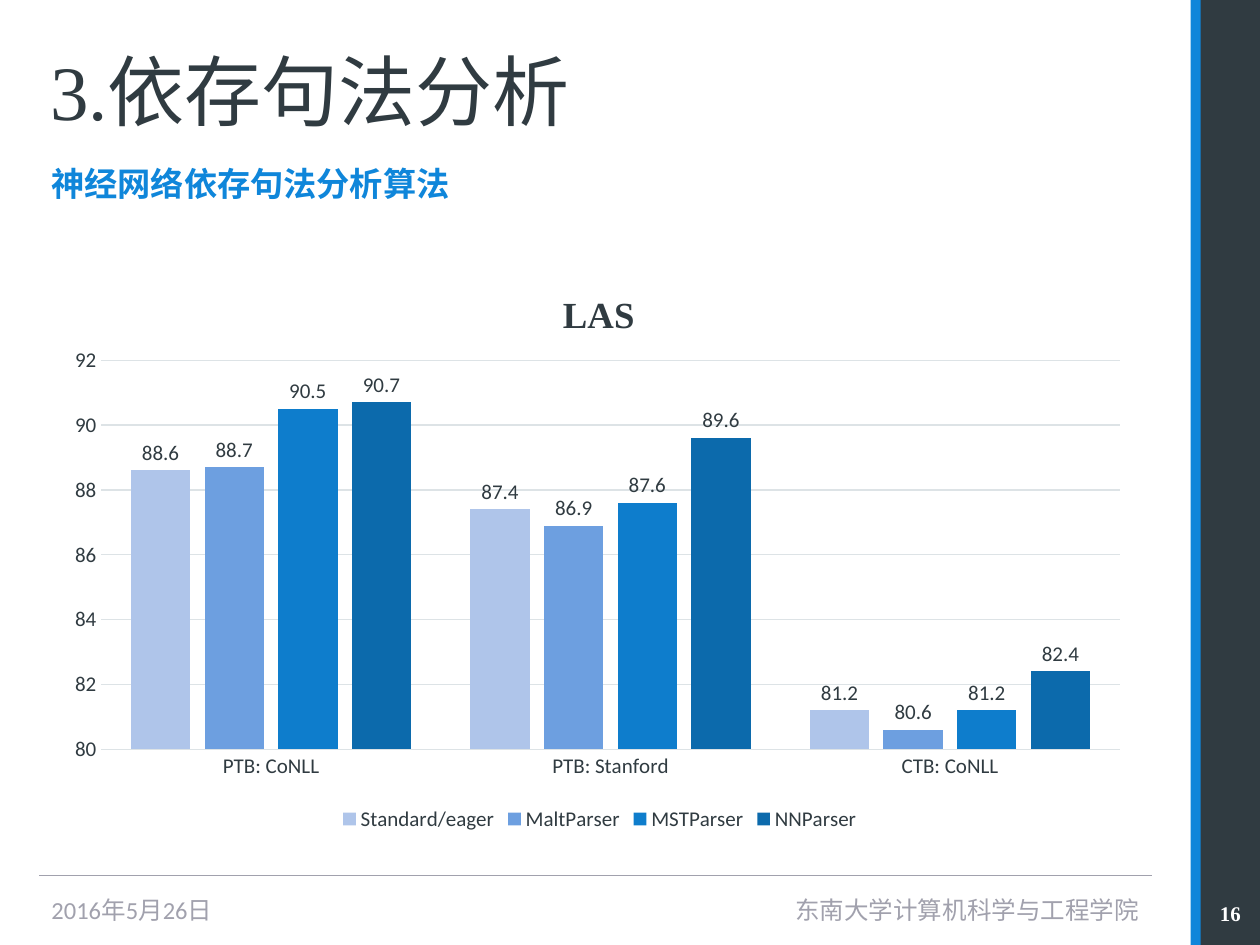
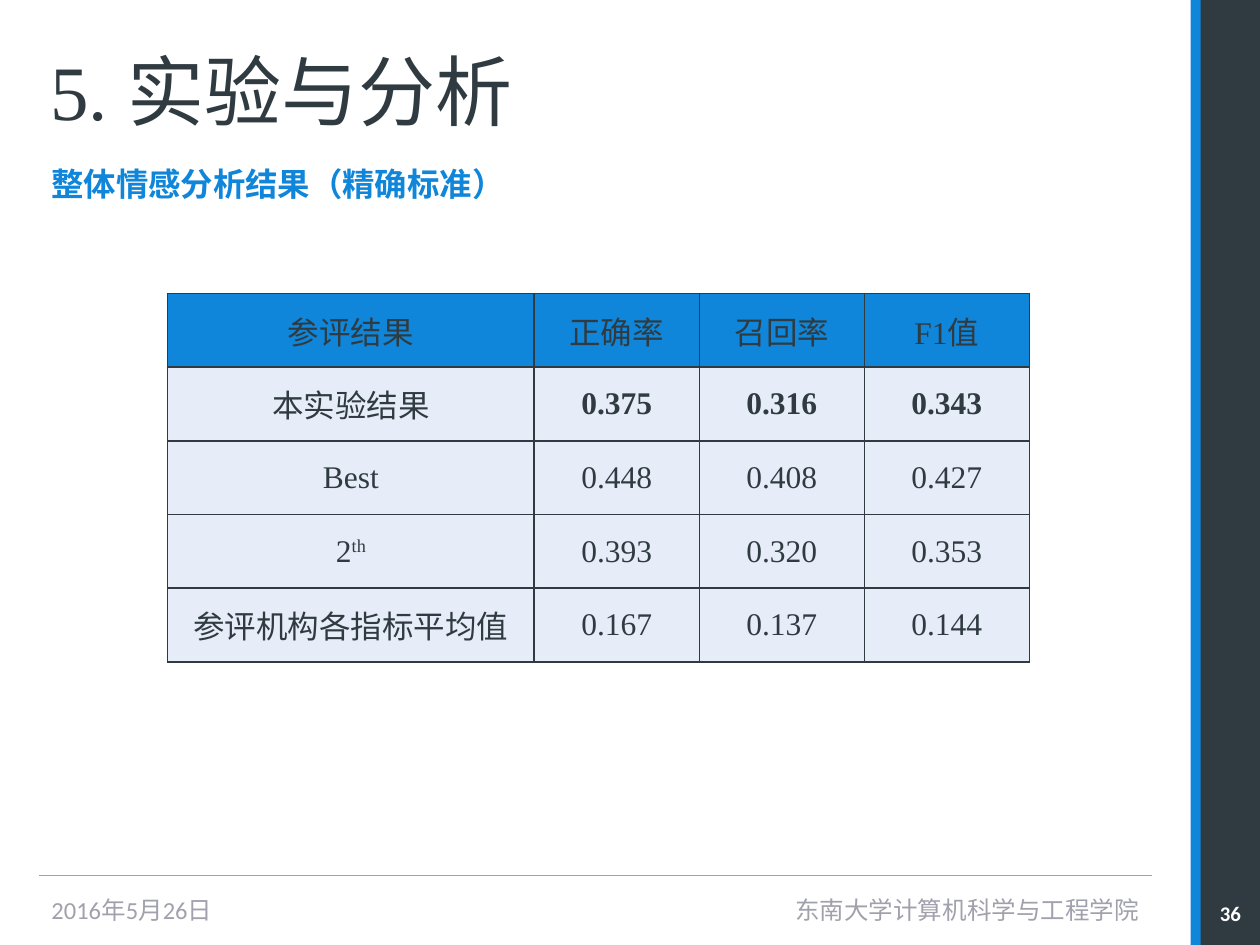
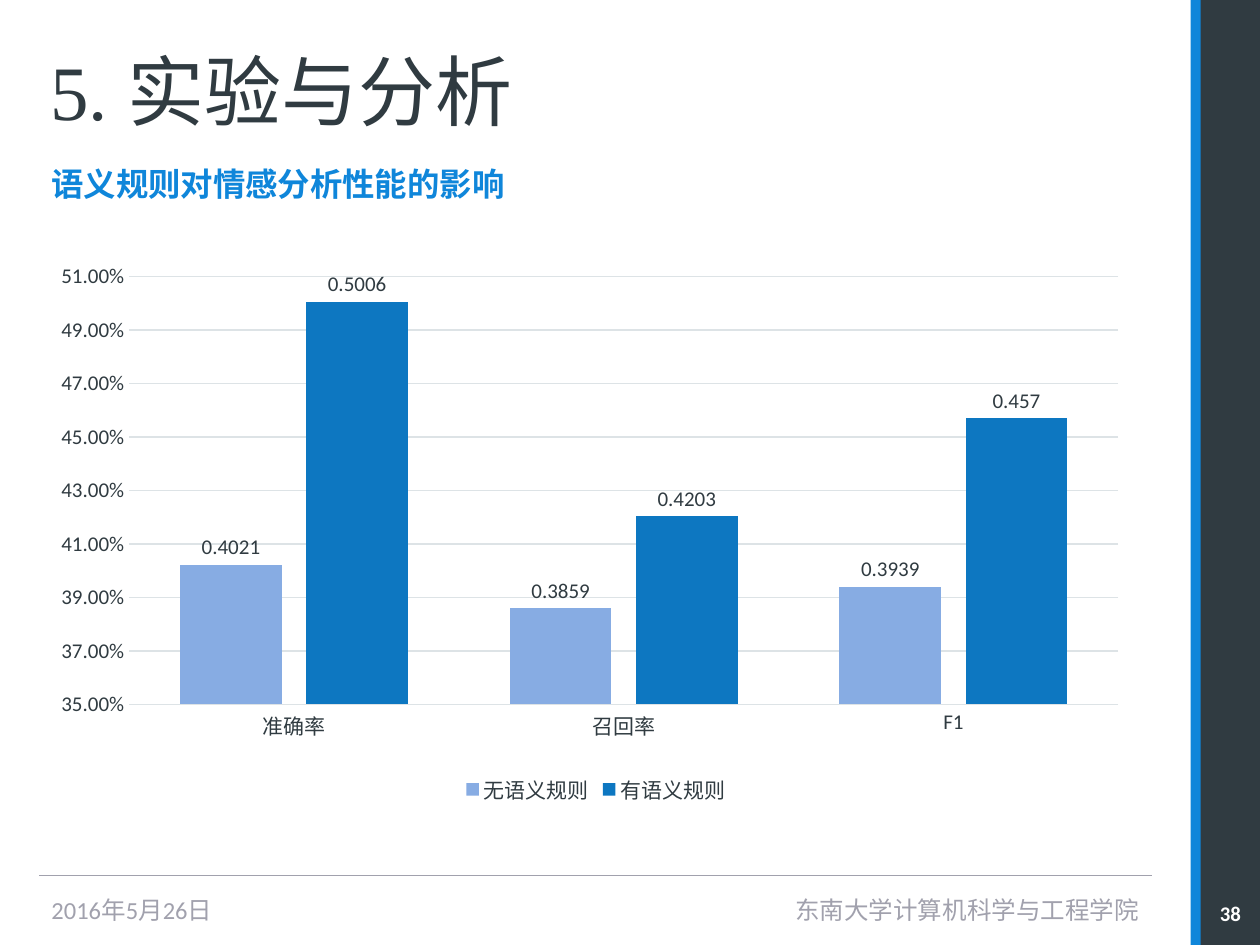
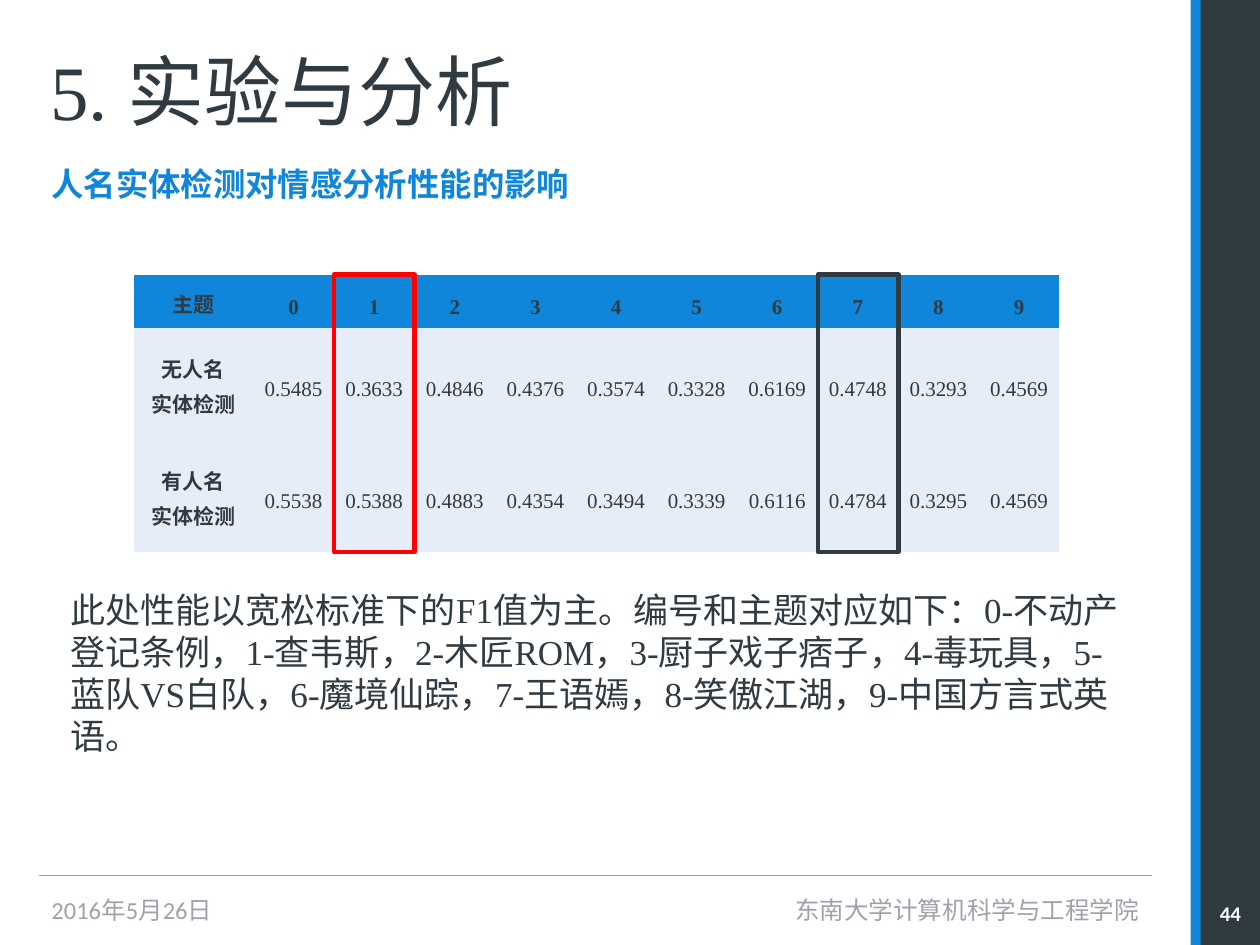
from dataclasses import dataclass

from pptx import Presentation
from pptx.chart.data import CategoryChartData
from pptx.dml.color import RGBColor
from pptx.enum.chart import XL_CHART_TYPE as ChartType
from pptx.enum.chart import XL_LABEL_POSITION as LabelPosition
from pptx.enum.chart import XL_LEGEND_POSITION as LegendPosition
from pptx.enum.chart import XL_TICK_MARK as TickMark
from pptx.enum.shapes import MSO_CONNECTOR as Connector
from pptx.enum.shapes import MSO_SHAPE as Shape
from pptx.enum.text import MSO_ANCHOR as Anchor
from pptx.enum.text import PP_ALIGN as Align
from pptx.oxml import parse_xml
from pptx.oxml.ns import nsdecls, qn
from pptx.oxml.xmlchemy import OxmlElement
from pptx.util import Inches, Pt


@dataclass(frozen=True)
class Theme:
    accent: str = "0F86DA"
    dark: str = "303B41"
    muted: str = "A1A1AD"
    white: str = "FFFFFF"
    pale: str = "E7EDF8"
    grid: str = "DDE3E6"
    alert: str = "FF0000"
    serif: str = "Times New Roman"
    sans: str = "Calibri"
    title: float = 44
    subtitle: float = 18.5
    chart_title: float = 21
    body: float = 20
    table: float = 18
    footer: float = 14
    small: float = 12
    number: float = 11.9


THEME = Theme()
PLAIN_TABLE_STYLE = "{2D5ABB26-0587-4C30-8999-92F81FD0307C}"


def rgb(color):
    return RGBColor.from_string(color)


def set_font(font, size, color=THEME.dark, name=THEME.sans, bold=False):
    font.size = Pt(size)
    font.name = name
    font.bold = bold
    font.color.rgb = rgb(color)


def write_text(frame, text, size, color=THEME.dark, font=THEME.serif, bold=False,
               align=Align.LEFT, before=None, line_spacing=None):
    for index, line in enumerate(text.split("\n")):
        paragraph = frame.add_paragraph() if index else frame.paragraphs[0]
        paragraph.alignment = align
        if before:
            paragraph.space_before = Pt(before)
        if line_spacing:
            paragraph.line_spacing = Pt(line_spacing)
        normal, _, raised = line.partition("^")
        for part, baseline in ((normal, None), (raised, "30000")):
            if part:
                run = paragraph.add_run()
                run.text = part
                set_font(run.font, size, color, font, bold)
                if baseline:
                    run.font._element.set("baseline", baseline)


def set_layout(parent, position, x, y, width=None, height=None, inner=False):
    old_layout = parent.find(qn("c:layout"))
    if old_layout is not None:
        parent.remove(old_layout)
    target = '<c:layoutTarget val="inner"/>' if inner else ""
    values = {"x": x, "y": y, "w": width, "h": height}
    places = "".join(f'<c:{key} val="{value}"/>' for key, value in values.items() if value)
    parent.insert(position, parse_xml(
        f'<c:layout {nsdecls("c")}><c:manualLayout>{target}'
        f'<c:xMode val="edge"/><c:yMode val="edge"/>{places}</c:manualLayout></c:layout>'))


def set_borders(cell, color, width):
    properties = cell._tc.get_or_add_tcPr()
    for index, side in enumerate(("lnL", "lnR", "lnT", "lnB")):
        properties.insert(index, parse_xml(
            f'<a:{side} {nsdecls("a")} w="{Pt(width)}"><a:solidFill>'
            f'<a:srgbClr val="{color}"/></a:solidFill></a:{side}>'))


class Deck:
    def __init__(self, theme):
        self.theme = theme
        self.presentation = Presentation()
        self.presentation.slide_width = Inches(10)
        self.presentation.slide_height = Inches(7.5)
        self.slide = None

    def start_slide(self, title, subtitle, number, footer_font=THEME.sans,
                    subtitle_font=THEME.sans, subtitle_size=THEME.subtitle):
        theme = self.theme
        self.slide = self.presentation.slides.add_slide(self.presentation.slide_layouts[6])
        self.rectangle(9.45, 0, 0.55, 7.5, fill=theme.accent)
        self.rectangle(9.53, 0, 0.47, 7.5, fill=theme.dark)
        self.line(0.31, 6.95, 9.14, 6.95, theme.muted, 0.79)
        self.text("2016年5月26日", 0.31, 7.02, 1.95, 0.4, anchor=Anchor.MIDDLE,
                  size=theme.footer, color=theme.muted, font=theme.sans)
        self.text(title, 0.3, 0.17, 8.92, 1.08, anchor=Anchor.MIDDLE, size=theme.title)
        self.text("东南大学计算机科学与工程学院", 3.21, 7.02, 5.93, 0.4, anchor=Anchor.MIDDLE,
                  size=theme.footer, color=theme.muted, font=footer_font, align=Align.RIGHT)
        self.text(str(number), 9.53, 7.11, 0.47, 0.27, anchor=Anchor.MIDDLE, size=theme.number,
                  color=theme.white, font=footer_font, bold=True, align=Align.CENTER)
        self.text(subtitle, 0.31, 1.25, 8.91, 0.39, size=subtitle_size, color=theme.accent,
                  font=subtitle_font, bold=True, before=7)

    def text(self, text, left, top, width, height, anchor=Anchor.TOP, **style):
        box = self.slide.shapes.add_textbox(
            Inches(left), Inches(top), Inches(width), Inches(height))
        box.text_frame.word_wrap = True
        box.text_frame.vertical_anchor = anchor
        write_text(box.text_frame, text, **style)

    def rectangle(self, left, top, width, height, fill=None, line=None, line_width=2.5):
        shape = self.slide.shapes.add_shape(
            Shape.RECTANGLE, Inches(left), Inches(top), Inches(width), Inches(height))
        shape.shadow.inherit = False
        if fill:
            shape.fill.solid()
            shape.fill.fore_color.rgb = rgb(fill)
        else:
            shape.fill.background()
        if line:
            shape.line.color.rgb = rgb(line)
            shape.line.width = Pt(line_width)
        else:
            shape.line.fill.background()

    def line(self, x1, y1, x2, y2, color, width):
        connector = self.slide.shapes.add_connector(
            Connector.STRAIGHT, Inches(x1), Inches(y1), Inches(x2), Inches(y2))
        connector.line.color.rgb = rgb(color)
        connector.line.width = Pt(width)
        connector._element.spPr.append(OxmlElement("a:effectLst"))

    def table(self, rows, left, top, widths, heights, is_bold, size, border=None,
              line_spacing=None):
        table = self.slide.shapes.add_table(
            len(rows), len(widths), Inches(left), Inches(top),
            Inches(sum(widths)), Inches(sum(heights))).table
        table.first_row = table.horz_banding = False
        table._tbl.tblPr.find(qn("a:tableStyleId")).text = PLAIN_TABLE_STYLE
        for column, width in zip(table.columns, widths):
            column.width = Inches(width)
        for row, height in zip(table.rows, heights):
            row.height = Inches(height)
        for row_index, values in enumerate(rows):
            for column_index, value in enumerate(values):
                cell = table.cell(row_index, column_index)
                cell.margin_left = cell.margin_right = Inches(0.07)
                cell.margin_top = cell.margin_bottom = 0
                cell.vertical_anchor = Anchor.MIDDLE
                cell.fill.solid()
                cell.fill.fore_color.rgb = rgb(self.theme.pale if row_index else self.theme.accent)
                write_text(cell.text_frame, value, size=size, align=Align.CENTER,
                           bold=is_bold(row_index, column_index), line_spacing=line_spacing)
                if border:
                    set_borders(cell, border, 1)

    def column_chart(self, categories, series, left, top, width, height, scale, plot_area,
                     axis_format="General", title=None):
        theme = self.theme
        data = CategoryChartData()
        data.categories = categories
        for name, _, values in series:
            data.add_series(name, values)
        chart = self.slide.shapes.add_chart(
            ChartType.COLUMN_CLUSTERED, Inches(left), Inches(top),
            Inches(width), Inches(height), data).chart
        set_font(chart.font, theme.small)
        chart.has_title = bool(title)
        if title:
            write_text(chart.chart_title.text_frame, title, size=theme.chart_title, bold=True,
                       align=Align.CENTER)
            set_layout(chart.chart_title._element, 1, 0.46, 0.05)
        chart.has_legend = True
        chart.legend.position = LegendPosition.BOTTOM
        chart.legend.include_in_layout = False
        set_font(chart.legend.font, theme.small)

        plot = chart.plots[0]
        plot.vary_by_categories = False
        plot.gap_width = 100
        plot.overlap = -24
        for chart_series, (_, color, _) in zip(plot.series, series):
            chart_series.format.fill.solid()
            chart_series.format.fill.fore_color.rgb = rgb(color)
            labels = chart_series.data_labels
            labels.show_value = True
            labels.position = LabelPosition.OUTSIDE_END
            set_font(labels.font, theme.small)

        value_axis, category_axis = chart.value_axis, chart.category_axis
        for axis in (value_axis, category_axis):
            axis.major_tick_mark = axis.minor_tick_mark = TickMark.NONE
            set_font(axis.tick_labels.font, theme.small)
        value_axis.minimum_scale, value_axis.maximum_scale, value_axis.major_unit = scale
        value_axis.tick_labels.number_format = axis_format
        value_axis.tick_labels.number_format_is_linked = False
        value_axis.format.line.fill.background()
        for line in (value_axis.major_gridlines.format.line, category_axis.format.line):
            line.color.rgb = rgb(theme.grid)
            line.width = Pt(0.75)
        set_layout(chart._chartSpace.chart.plotArea, 0, *plot_area, inner=True)

    def save(self):
        self.presentation.save("out.pptx")


def add_parser_scores(deck):
    deck.start_slide("3.依存句法分析", "神经网络依存句法分析算法", 16,
                     footer_font=THEME.serif, subtitle_font=THEME.serif, subtitle_size=19)
    deck.column_chart(
        ["PTB: CoNLL", "PTB: Stanford", "CTB: CoNLL"],
        [("Standard/eager", "AFC5EA", (88.6, 87.4, 81.2)),
         ("MaltParser", "6D9FE0", (88.7, 86.9, 80.6)),
         ("MSTParser", "0E7DCC", (90.5, 87.6, 81.2)),
         ("NNParser", "0C6AAC", (90.7, 89.6, 82.4))],
        0.46, 2.03, 8.6, 4.61, scale=(80, 92, 2),
        plot_area=(0.04, 0.18, 0.94, 0.67), title="LAS")


def add_overall_results(deck):
    deck.start_slide("5. 实验与分析", "整体情感分析结果（精确标准）", 36)
    rows = [
        ("参评结果", "正确率", "召回率", "F1值"),
        ("本实验结果", "0.375", "0.316", "0.343"),
        ("Best", "0.448", "0.408", "0.427"),
        ("2^th", "0.393", "0.320", "0.353"),
        ("参评机构各指标平均值", "0.167", "0.137", "0.144"),
    ]
    deck.table(rows, 1.33, 2.33, [2.91] + [1.31] * 3, [0.585] * 5, size=THEME.table,
               is_bold=lambda row, column: row == 1 and column > 0, border=THEME.dark)


def add_rule_effect(deck):
    deck.start_slide("5. 实验与分析", "语义规则对情感分析性能的影响", 38)
    deck.column_chart(
        ["准确率", "召回率", "F1"],
        [("无语义规则", "87ACE3", (0.4021, 0.3859, 0.3939)),
         ("有语义规则", "0D77C1", (0.5006, 0.4203, 0.457))],
        0.32, 2.02, 8.82, 4.41, scale=(0.35, 0.51, 0.02),
        plot_area=(0.08, 0.04, 0.89, 0.77), axis_format="0.00%")


def add_entity_effect(deck):
    deck.start_slide("5. 实验与分析", "人名实体检测对情感分析性能的影响", 44)
    without_names = "0.5485 0.3633 0.4846 0.4376 0.3574 0.3328 0.6169 0.4748 0.3293 0.4569"
    with_names = "0.5538 0.5388 0.4883 0.4354 0.3494 0.3339 0.6116 0.4784 0.3295 0.4569"
    rows = [
        ["主题", *map(str, range(10))],
        ["无人名\n实体检测", *without_names.split()],
        ["有人名\n实体检测", *with_names.split()],
    ]
    left, top, label_width, topic_width = 1.06, 2.18, 0.95, 0.64
    heights = [0.42, 0.89, 0.89]
    deck.table(rows, left, top, [label_width] + [topic_width] * 10, heights, size=THEME.small,
               is_bold=lambda row, column: row == 0 or column == 0, line_spacing=20)
    deck.text("此处性能以宽松标准下的F1值为主。编号和主题对应如下：0-不动产登记条例，1-查韦斯，"
              "2-木匠ROM，3-厨子戏子痞子，4-毒玩具，5-蓝队VS白队，6-魔境仙踪，7-王语嫣，"
              "8-笑傲江湖，9-中国方言式英语。",
              0.46, 4.62, 8.6, 1.63, size=THEME.body, before=7)
    for topic, color in ((1, THEME.alert), (7, THEME.dark)):
        deck.rectangle(left + label_width + topic * topic_width, top, topic_width, sum(heights),
                       line=color)


def main():
    deck = Deck(THEME)
    add_parser_scores(deck)
    add_overall_results(deck)
    add_rule_effect(deck)
    add_entity_effect(deck)
    deck.save()


if __name__ == "__main__":
    main()
